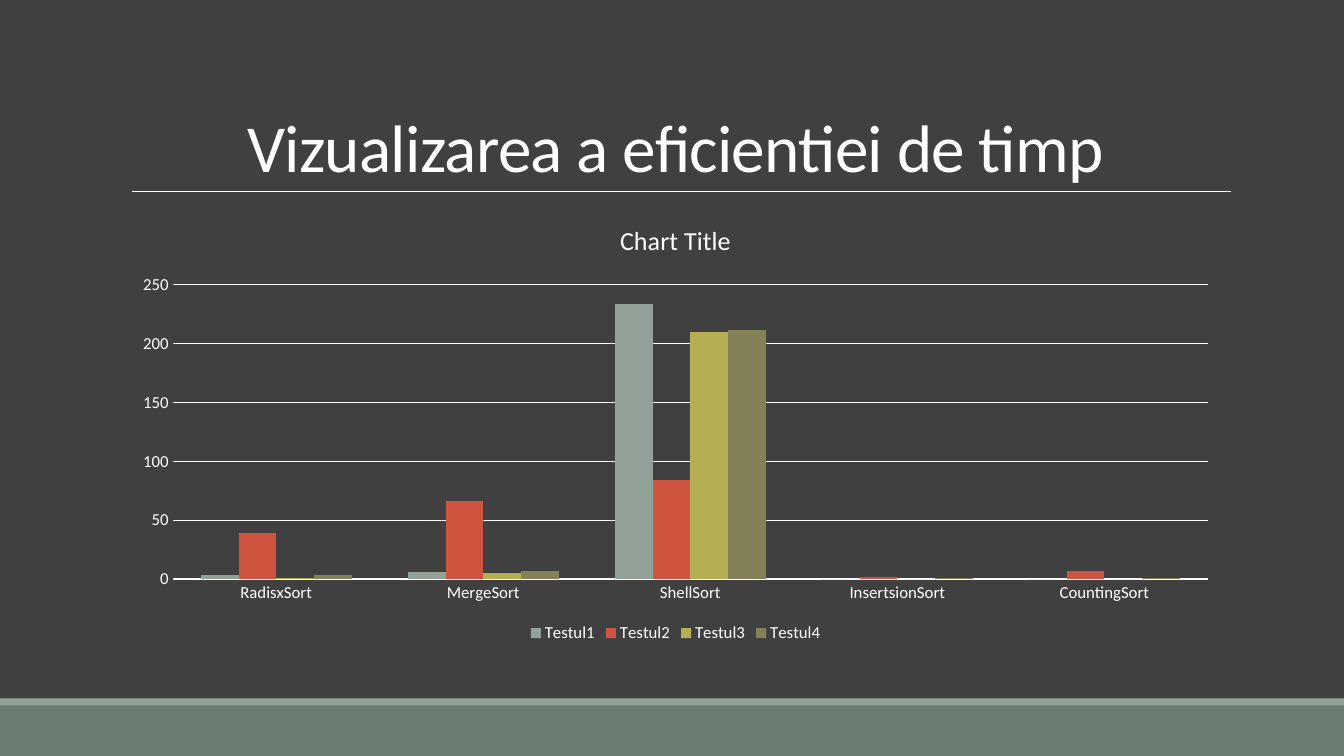
from lxml.etree import SubElement
from pptx import Presentation
from pptx.chart.data import CategoryChartData
from pptx.dml.color import RGBColor
from pptx.enum.chart import XL_CHART_TYPE, XL_LEGEND_POSITION, XL_TICK_MARK
from pptx.enum.shapes import MSO_CONNECTOR, MSO_SHAPE
from pptx.enum.text import MSO_ANCHOR, MSO_AUTO_SIZE, PP_ALIGN
from pptx.oxml.ns import qn
from pptx.util import Inches, Pt

WIDTH, HEIGHT = 13.33, 7.5
LEFT, SPAN = 1.2, 11
WHITE, FONT = "FFFFFF", "Calibri"
TITLE = "Vizualizarea a eficientiei de timp"
CHART_TITLE = "Chart Title"
SORTS = ["RadisxSort", "MergeSort", "ShellSort", "InsertsionSort", "CountingSort"]
TESTS = [
    ("Testul1", "93A299", (3, 6, 234, 0, 0)),
    ("Testul2", "CF543F", (39, 66, 84, 2, 7)),
    ("Testul3", "B5AE53", (1, 5, 210, 0, 0)),
    ("Testul4", "848058", (3, 7, 212, 1, 1)),
]
BANDS = [(7, 0.5, "6B7D72"), (6.93, 0.07, "93A299")]  # top, height, colour


def paint(fill, color):
    fill.solid()
    fill.fore_color.rgb = RGBColor.from_string(color)


def style(font, size):
    font.name, font.size, font.bold = FONT, Pt(size), False
    paint(font.fill, WHITE)


def box(*sides):
    return [Inches(side) for side in sides]


def add_bands(slide):
    for top, height, color in BANDS:
        band = slide.shapes.add_shape(MSO_SHAPE.RECTANGLE, *box(0, top, WIDTH, height))
        band.shadow.inherit = False
        paint(band.fill, color)
        band.line.fill.background()


def add_rule(slide):
    rule = slide.shapes.add_connector(MSO_CONNECTOR.STRAIGHT, *box(1.31, 1.9, 12.21, 1.9))
    paint(rule.line.fill, WHITE)
    rule.line.width = Pt(0.5)
    SubElement(rule._element.spPr, qn("a:effectLst"))


def set_title(slide):
    title = slide.shapes.title
    title.left, title.top, title.width, title.height = box(LEFT, 0.31, SPAN, 1.59)
    frame = title.text_frame
    frame.text = TITLE
    frame.word_wrap = True
    frame.auto_size = MSO_AUTO_SIZE.NONE
    frame.vertical_anchor = MSO_ANCHOR.BOTTOM
    line = frame.paragraphs[0]
    line.alignment, line.line_spacing = PP_ALIGN.CENTER, 0.85
    style(line.font, 48)
    line.runs[0]._r.get_or_add_rPr().set("spc", "-50")


def add_times(slide):
    data = CategoryChartData()
    data.categories = SORTS
    for name, _, times in TESTS:
        data.add_series(name, times)
    chart = slide.shapes.add_chart(
        XL_CHART_TYPE.COLUMN_CLUSTERED, *box(LEFT, 2.02, SPAN, 4.4), data).chart
    style(chart.font, 10)

    chart.has_title = True
    heading = chart.chart_title
    heading.include_in_layout = False
    heading.text_frame.text = CHART_TITLE
    style(heading.text_frame.paragraphs[0].font, 18.6)

    chart.has_legend = True
    chart.legend.position = XL_LEGEND_POSITION.BOTTOM
    chart.legend.include_in_layout = False
    style(chart.legend.font, 12)

    for axis in (chart.category_axis, chart.value_axis):
        axis.major_tick_mark = axis.minor_tick_mark = XL_TICK_MARK.NONE
        axis.format.line.fill.background()
        style(axis.tick_labels.font, 12)
    scale = chart.value_axis
    scale.minimum_scale, scale.maximum_scale, scale.major_unit = 0, 250, 50
    grid = scale.major_gridlines.format.line
    paint(grid.fill, WHITE)
    grid.width = Pt(0.75)

    plot = chart.plots[0]
    plot.gap_width, plot.overlap, plot.vary_by_categories = 150, 0, False
    for series, (_, color, _) in zip(plot.series, TESTS):
        paint(series.format.fill, color)


def main():
    deck = Presentation()
    deck.slide_width, deck.slide_height = box(WIDTH, HEIGHT)
    slide = deck.slides.add_slide(deck.slide_layouts[5])
    paint(slide.background.fill, "404040")
    add_bands(slide)
    add_rule(slide)
    set_title(slide)
    add_times(slide)
    deck.save("out.pptx")


if __name__ == "__main__":
    main()
